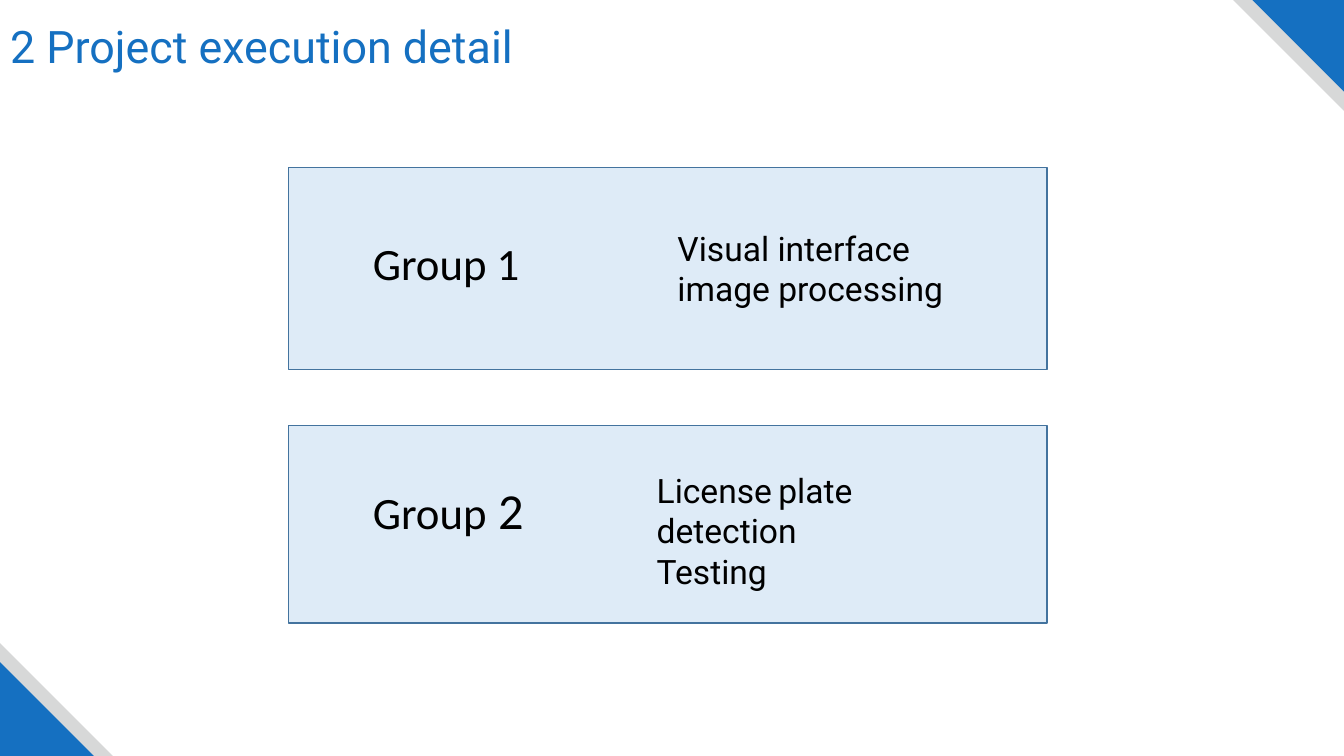
from dataclasses import dataclass
from pptx import Presentation
from pptx.dml.color import RGBColor as Rgb
from pptx.enum.shapes import MSO_SHAPE as Kind
from pptx.enum.text import MSO_ANCHOR as Anchor, MSO_AUTO_SIZE as Fit, PP_ALIGN as Align
from pptx.util import Pt


@dataclass(frozen=True)
class Theme:
    blue: str = "1570C1"
    gray: str = "D7D8D8"
    pale: str = "DEEBF7"
    edge: str = "43739E"
    ink: str = "000000"
    main: str = "Roboto"
    label: str = "Calibri"
    head: int = 32
    large: int = 36
    body: int = 24
    small: int = 18


class Deck:
    def __init__(self, theme):
        self.theme = theme
        self.file = Presentation()
        self.file.slide_width, self.file.slide_height = Pt(960), Pt(540)
        self.slide = self.file.slides.add_slide(self.file.slide_layouts[5])

    def shape(self, kind, box, fill, line=None):
        item = self.slide.shapes.add_shape(kind, *map(Pt, box))
        item.shadow.inherit = False
        item.fill.solid()
        item.fill.fore_color.rgb = Rgb.from_string(fill)
        if line:
            item.line.color.rgb = Rgb.from_string(line)
            item.line.width = Pt(1)
        else:
            item.line.fill.background()
        return item

    def card(self, box):
        self.shape(Kind.RECTANGLE, box, self.theme.pale, self.theme.edge)

    def corner(self, sizes, top):
        for size, fill in zip(sizes, (self.theme.gray, self.theme.blue)):
            place = (960 - size, 0) if top else (0, 540 - size)
            item = self.shape(Kind.RIGHT_TRIANGLE, (*place, size, size), fill)
            item.rotation = 180 if top else 0

    def style(self, run, font, size, color):
        run.font.name = font
        run.font.size = Pt(size)
        run.font.color.rgb = Rgb.from_string(color)

    def title(self, text, box):
        item = self.slide.shapes.title
        item.left, item.top, item.width, item.height = map(Pt, box)
        frame = item.text_frame
        frame.text = text
        frame.auto_size = Fit.NONE
        frame.vertical_anchor = Anchor.TOP
        line = frame.paragraphs[0]
        line.alignment = Align.LEFT
        self.style(line.runs[0], self.theme.main, self.theme.head, self.theme.blue)

    def text(self, box, font, lines):
        frame = self.slide.shapes.add_textbox(*map(Pt, box)).text_frame
        frame.word_wrap = True
        for spot, parts in enumerate(lines):
            line = frame.add_paragraph() if spot else frame.paragraphs[0]
            for words, size in parts:
                run = line.add_run()
                run.text = words
                self.style(run, font, size, self.theme.ink)


def main():
    theme = Theme()
    deck = Deck(theme)
    deck.card((206, 304, 542, 141))
    deck.card((206, 119.5, 542, 144.5))
    deck.corner((79.2, 65.5), True)
    deck.corner((80.6, 67), False)
    deck.title("2 Project execution detail", (0, 9.4, 529, 46))

    head, body = theme.head, theme.body
    deck.text((259.2, 165, 193, 46), theme.label, [[("Group 1", head)]])
    deck.text((259.2, 339, 127.4, 51), theme.label,
              [[("Group", head), (" 2", theme.large)]])
    deck.text((476.8, 159, 229.7, 65.5), theme.main,
              [[("Visual interface image processing", body)]])
    deck.text((462, 332, 259, 65.5), theme.main,
              [[("License", body), (" ", theme.small), ("plate detection", body)],
               [("Testing", body)]])
    deck.file.save("out.pptx")


if __name__ == "__main__":
    main()
